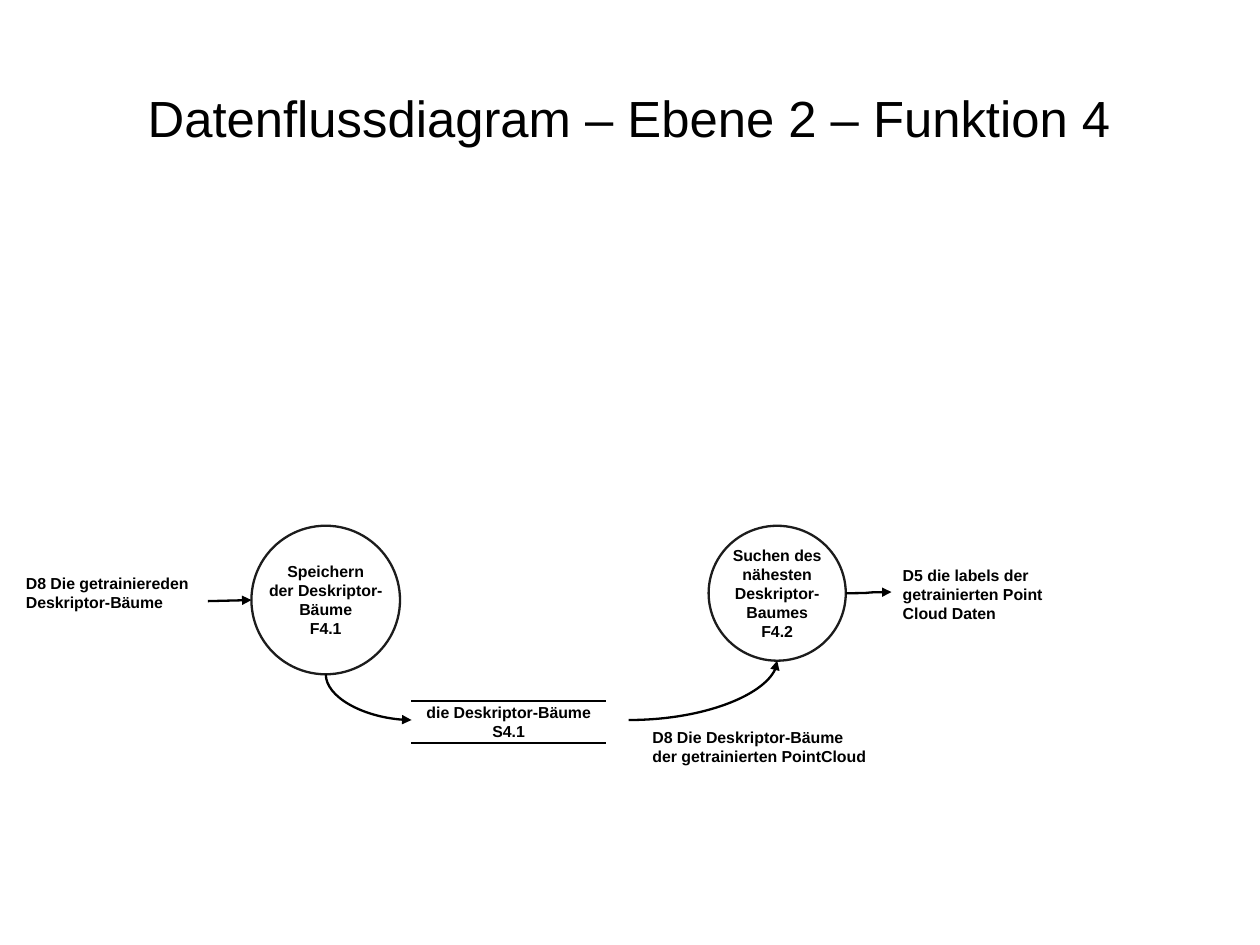
from pptx import Presentation
from pptx.dml.color import RGBColor
from pptx.enum.shapes import MSO_CONNECTOR, MSO_SHAPE
from pptx.enum.text import MSO_ANCHOR, PP_ALIGN
from pptx.oxml.ns import qn
from pptx.util import Pt
from lxml.etree import SubElement

BLACK = "000000"
CIRCLE_LINE = "1C1C1C"
LINE_WIDTH = 1.45


def color(value):
    return RGBColor.from_string(value)


def write(shape, lines, align, size=10, bold=True):
    frame = shape.text_frame
    frame.text = "\n".join(lines)
    for para in frame.paragraphs:
        para.alignment = align
        for span in para.runs:
            span.font.name = "Arial"
            span.font.size = Pt(size)
            span.font.bold = bold
            span.font.color.rgb = color(BLACK)


def place(shape, left, top, width, height):
    shape.left, shape.top = Pt(left), Pt(top)
    shape.width, shape.height = Pt(width), Pt(height)


def add_title(slide, text):
    title = slide.shapes.title
    place(title, 39.6, 23.8, 714.2, 99.4)
    frame = title.text_frame
    frame.margin_left = frame.margin_right = 0
    frame.margin_top = frame.margin_bottom = 0
    frame.vertical_anchor = MSO_ANCHOR.MIDDLE
    write(title, [text], PP_ALIGN.CENTER, size=32, bold=False)


def add_function(slide, left, top, width, height, lines):
    """Add a circle that stands for one function of the data flow."""
    circle = slide.shapes.add_shape(
        MSO_SHAPE.OVAL, Pt(left), Pt(top), Pt(width), Pt(height))
    circle.shadow.inherit = False
    circle.fill.background()
    circle.line.color.rgb = color(CIRCLE_LINE)
    circle.line.width = Pt(LINE_WIDTH)
    circle.text_frame.word_wrap = False
    circle.text_frame.vertical_anchor = MSO_ANCHOR.MIDDLE
    write(circle, lines, PP_ALIGN.CENTER)


def add_label(slide, left, top, width, height, lines, align=PP_ALIGN.LEFT):
    box = slide.shapes.add_textbox(Pt(left), Pt(top), Pt(width), Pt(height))
    box.text_frame.word_wrap = True
    write(box, lines, align)


def add_line(slide, start, end, kind=MSO_CONNECTOR.STRAIGHT, arrow=False):
    line = slide.shapes.add_connector(kind, *map(Pt, start + end))
    line.line.color.rgb = color(BLACK)
    line.line.width = Pt(LINE_WIDTH)
    properties = line._element.spPr
    if arrow:
        SubElement(properties.find(qn("a:ln")), qn("a:tailEnd"), type="triangle")
    SubElement(properties, qn("a:effectLst"))
    return line


def add_bend(slide, start, end, down_first=False):
    """Add a quarter-curve arrow; down_first leaves the start vertically."""
    if down_first:
        # A turned connector is stored with its sides swapped about its centre.
        middle_x, middle_y = (start[0] + end[0]) / 2, (start[1] + end[1]) / 2
        half_width, half_height = (end[1] - start[1]) / 2, (end[0] - start[0]) / 2
        start = (middle_x + half_width, middle_y - half_height)
        end = (middle_x - half_width, middle_y + half_height)
    bend = add_line(slide, start, end, MSO_CONNECTOR.CURVE, arrow=True)
    properties = bend._element.spPr
    properties.find(qn("a:prstGeom")).set("prst", "curvedConnector2")
    if down_first:
        properties.find(qn("a:xfrm")).set("rot", str(270 * 60000))


def add_store(slide, left, right, top, bottom, lines):
    """Add a data store: centred text between two rules."""
    add_label(slide, left, top - 2.2, right - left, 29.5, lines, PP_ALIGN.CENTER)
    for y in (top, bottom):
        add_line(slide, (left, y), (right, y))


def main():
    deck = Presentation()
    deck.slide_width, deck.slide_height = Pt(793.7), Pt(595.3)
    slide = deck.slides.add_slide(deck.slide_layouts[5])
    add_title(slide, "Datenflussdiagram – Ebene 2 – Funktion 4")

    add_function(slide, 158.4, 331.2, 93.6, 93.6,
                 ["Speichern", "der Deskriptor-", "Bäume", "F4.1"])
    add_function(slide, 446.4, 331.2, 86.4, 85,
                 ["Suchen des", "nähesten", "Deskriptor-", "Baumes", "F4.2"])
    add_store(slide, 259.2, 381.6, 441.4, 468, ["die Deskriptor-Bäume", "S4.1"])

    add_label(slide, 9.2, 357.8, 121.7, 40.3,
              ["D8 Die getrainiereden Deskriptor-Bäume"])
    add_label(slide, 561.6, 352.8, 172.8, 40.3,
              ["D5 die labels der", "getrainierten Point", "Cloud Daten"])
    add_label(slide, 403.9, 454.7, 158.4, 36,
              ["D8 Die Deskriptor-Bäume", "der getrainierten PointCloud"])

    add_line(slide, (131, 378.7), (158.4, 378), arrow=True)
    add_bend(slide, (205.2, 424.8), (259.2, 453.6), down_first=True)
    add_bend(slide, (396, 453.6), (489.6, 416.2))
    add_line(slide, (532.8, 373.7), (561.6, 373), MSO_CONNECTOR.CURVE, arrow=True)

    deck.save("out.pptx")


if __name__ == "__main__":
    main()
